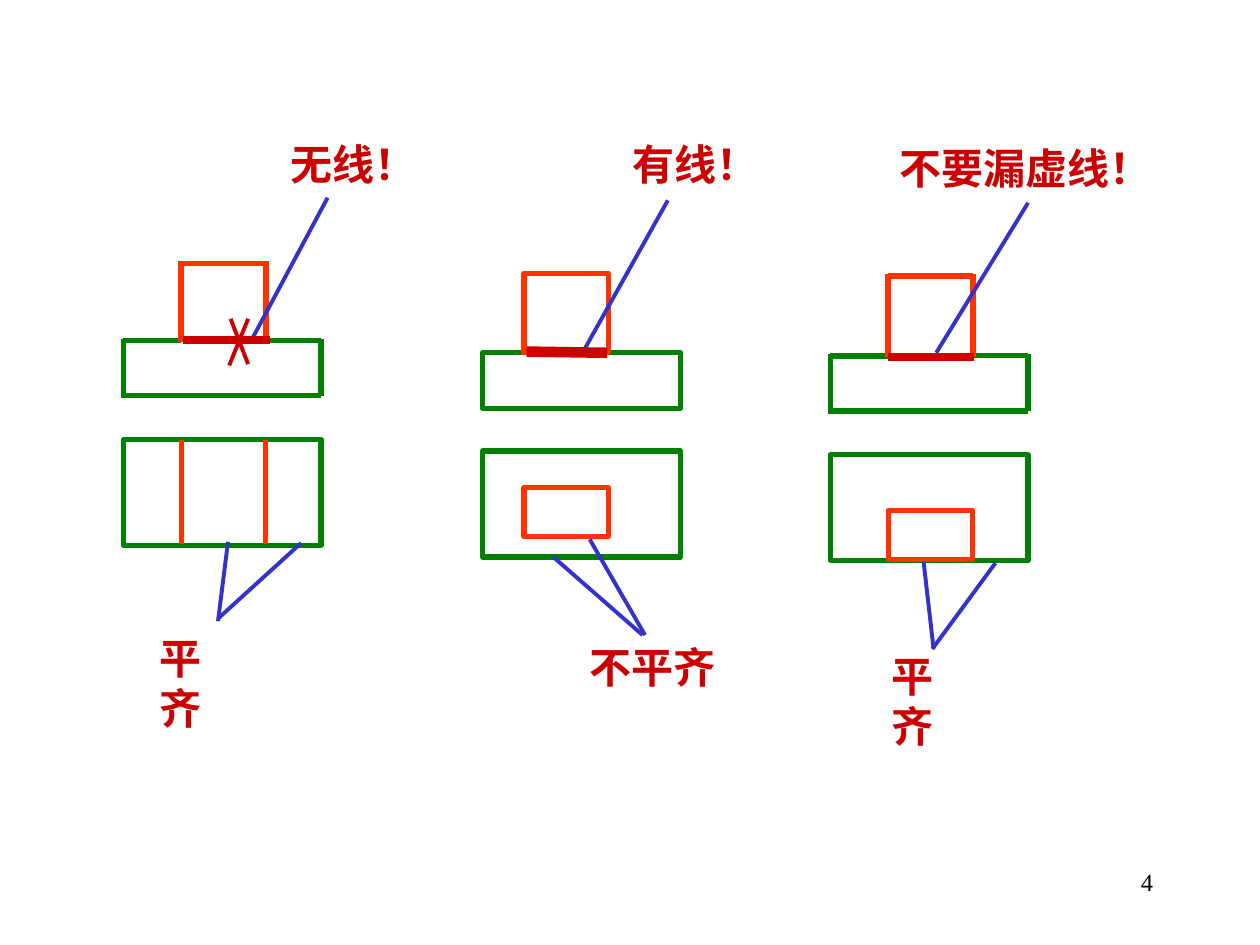
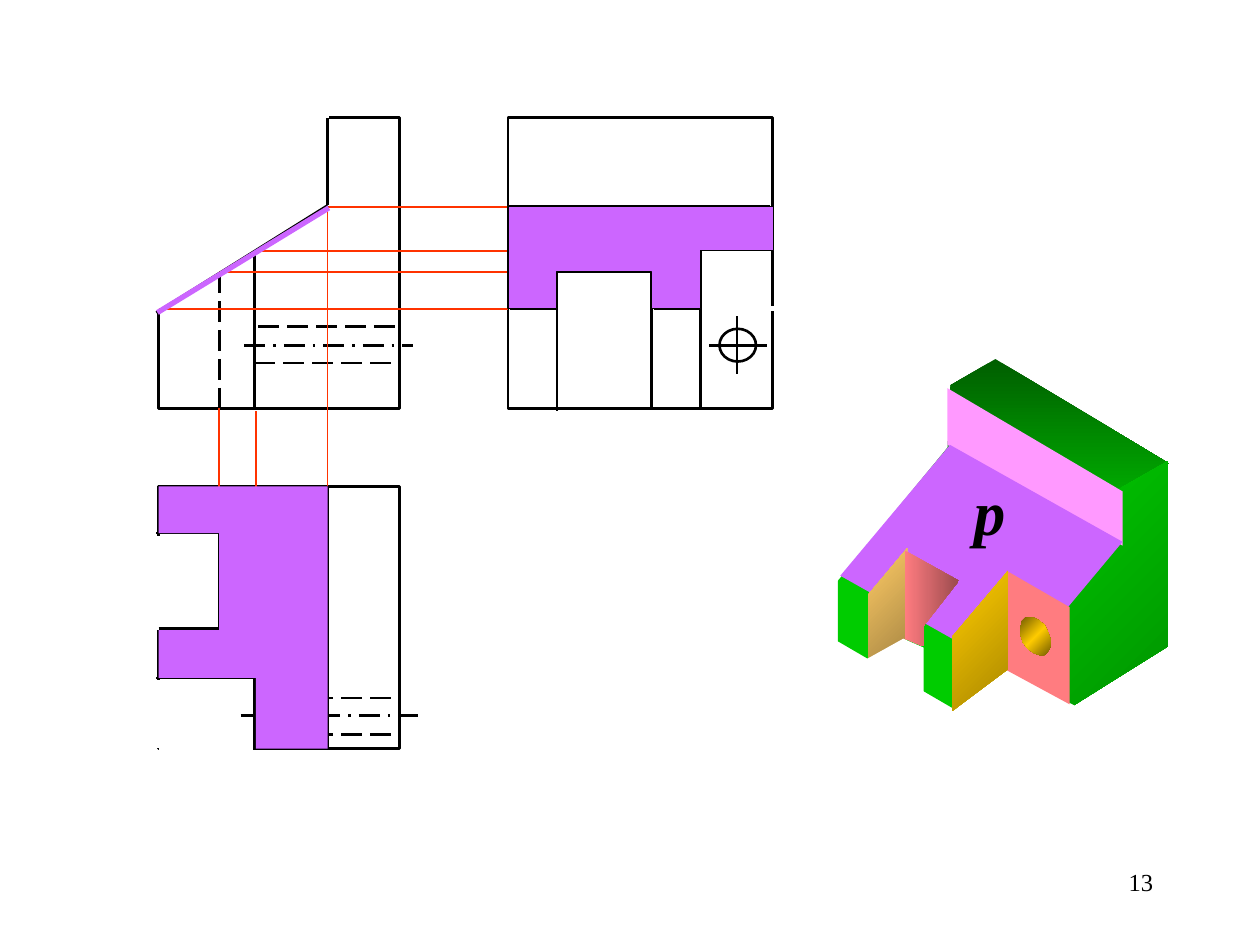
from copy import deepcopy

from lxml import etree
from pptx import Presentation
from pptx.dml.color import RGBColor
from pptx.enum.dml import MSO_LINE
from pptx.enum.shapes import MSO_CONNECTOR, MSO_SHAPE
from pptx.enum.text import MSO_AUTO_SIZE, PP_ALIGN
from pptx.oxml.ns import qn
from pptx.util import Pt

RECT, OVAL = MSO_SHAPE.RECTANGLE, MSO_SHAPE.OVAL
STRAIGHT = MSO_CONNECTOR.STRAIGHT
LONG_DASH, DASH_DOT = MSO_LINE.LONG_DASH, MSO_LINE.LONG_DASH_DOT
RIGHT, LEFT = PP_ALIGN.RIGHT, PP_ALIGN.LEFT
GROW, FIXED = MSO_AUTO_SIZE.SHAPE_TO_FIT_TEXT, MSO_AUTO_SIZE.NONE

BLACK, WHITE = "000000", "FFFFFF"
GREEN, ORANGE, RED, BLUE = "008000", "FF3300", "CC0000", "3333CC"
PURPLE, LIME, SALMON = "CC66FF", "00CC00", "FF7C80"


def paint(fill, *colours, angle=0):
    """One colour gives a solid fill, two give a gradient (angle clockwise)."""
    if len(colours) == 1:
        fill.solid()
        fill.fore_color.rgb = RGBColor.from_string(colours[0])
        return
    fill.gradient()
    fill.gradient_angle = (360 - angle) % 360
    for stop, colour in zip(fill.gradient_stops, colours):
        stop.color.rgb = RGBColor.from_string(colour)


def draw_lines(slide, segments, colour, width, dash=None):
    for x1, y1, x2, y2 in segments:
        edge = slide.shapes.add_connector(STRAIGHT, Pt(x1), Pt(y1), Pt(x2), Pt(y2))
        paint(edge.line.fill, colour)
        edge.line.width = Pt(width)
        edge.line.dash_style = dash
        etree.SubElement(edge._element.spPr, qn("a:effectLst"))


prs = Presentation()
prs.slide_width, prs.slide_height = Pt(720), Pt(540)
blank = prs.slide_layouts[6]
flush_faces = prs.slides.add_slide(blank)
cut_block = prs.slides.add_slide(blank)

# Unfilled outlines on both slides
outlines = [
    # plan views, then the front view of the middle example
    (flush_faces, RECT, 70.5, 251.3, 113, 60.5, GREEN, 3),
    (flush_faces, RECT, 275.8, 257.8, 113, 60.5, GREEN, 3),
    (flush_faces, RECT, 299.5, 278.6, 48.2, 28.1, ORANGE, 3),
    (flush_faces, RECT, 275.8, 201.6, 113, 31.7, GREEN, 3),
    (flush_faces, RECT, 299.5, 156.2, 48.2, 45.4, ORANGE, 3),
    (flush_faces, RECT, 474.5, 259.9, 113, 60.5, GREEN, 3),
    (flush_faces, RECT, 507.6, 291.6, 48.2, 28.1, ORANGE, 3),
    # side, front and plan views, then the hole
    (cut_block, RECT, 290.2, 67, 151.2, 166.3, BLACK, 1.5),
    (cut_block, RECT, 90.7, 67, 137.5, 166.3, BLACK, 1.5),
    (cut_block, RECT, 90.7, 277.9, 137.5, 149.8, BLACK, 1.5),
    (cut_block, OVAL, 411.1, 187.9, 20.9, 18.7, BLACK, 1.5),
]
for slide, preset, x, y, w, h, colour, width in outlines:
    outline = slide.shapes.add_shape(preset, Pt(x), Pt(y), Pt(w), Pt(h))
    outline.shadow.inherit = False
    outline.fill.background()
    paint(outline.line.fill, colour)
    outline.line.width = Pt(width)

# Slide 1: front views left and right, measured from the base's top left corner
for x, y, rise in [(70.5, 194.4, 43.9), (474.5, 203.2, 45.4)]:
    base = [(-1.5, 31.7, 113, 31.7), (113, 31.7, 113, -0.7), (113, 0, 81.5, 0),
            (33, 0.3, 0, 0.3), (0, 31.7, 0, -0.7)]
    cube = [(81.5, 1, 81.5, -rise - 1.3), (81.5, -rise, 33, -rise),
            (33, -rise - 1.3, 33, 1)]
    for part, colour in [(base, GREEN), (cube, ORANGE)]:
        draw_lines(flush_faces,
                   [(x + x1, y + y1, x + x2, y + y2) for x1, y1, x2, y2 in part],
                   colour, 3)
draw_lines(flush_faces, [(cut, 311, cut, 251.3) for cut in (103.7, 151.9)], ORANGE, 3)

# Slide 1: leaders, seams and the cross on the line that must not be there
leaders = [
    (130.3, 309.6, 124.6, 355), (124.6, 353.5, 172.1, 310.3), (143.3, 195.1, 187.2, 113),
    (337, 308.2, 368.6, 362.9), (367.2, 362.9, 316.1, 318.2), (334.1, 199.4, 381.6, 114.5),
    (532.8, 370.8, 568.8, 321.8), (527.8, 321.1, 533.5, 370.8), (535, 201.6, 587.5, 115.9),
]
draw_lines(flush_faces, leaders, BLUE, 2.25)
draw_lines(flush_faces, [(104.4, 194.4, 154.1, 194.4)], RED, 4.25)
draw_lines(flush_faces, [(301, 200.9, 347, 201.6)], RED, 6)
draw_lines(flush_faces, [(507.6, 203.8, 556.6, 203.8)], RED, 4.5)
draw_lines(flush_faces, [(141.8, 182.2, 131, 208.8), (131.8, 182.2, 141.8, 208.1)],
           RED, 2.25)

# Slide 2: line work of the three views
inner_edges = [
    (421.2, 180.7, 421.2, 213.8), (405.4, 197.3, 438.5, 197.3),
    (145.4, 387.4, 89.3, 387.4), (125.3, 359.3, 125.3, 304.6),
    (187.2, 428.4, 187.2, 277.9), (290.2, 118.1, 439.9, 118.1),
    (318.2, 155.5, 373, 155.5), (400.3, 142.6, 442.1, 142.6),
    (145.4, 144, 145.4, 233.3), (291.6, 176.4, 442.1, 176.4),
]
axes = [(137.5, 409, 239, 409), (139.7, 197.3, 236.2, 197.3)]
hidden_edges = [
    (145.4, 398.9, 228.2, 398.9), (145.4, 419.8, 228.2, 419.8),
    (125.3, 155.5, 125.3, 234.7), (147.6, 186.5, 228.2, 186.5),
    (145.4, 207.4, 228.2, 207.4),
]
removed_edges = [
    (90.7, 59.8, 90.7, 177.8), (80.6, 67, 187.9, 67), (90.7, 360, 90.7, 306),
    (318.2, 176.4, 373.7, 176.4), (90.7, 388.8, 90.7, 427.7),
    (90.7, 427.7, 146.2, 427.7), (400.3, 176.4, 442.1, 176.4),
]
projections = [
    (187.2, 118.1, 294.5, 118.1), (90.7, 176.4, 290.2, 176.4),
    (187.2, 118.1, 187.2, 277.9), (125.3, 304.6, 125.3, 233.3),
    (125.3, 155.5, 318.2, 155.5), (146.2, 387.4, 146.2, 234.7),
    (146.2, 143.3, 400.3, 143.3),
]
cut_edges = [
    (187.2, 67.7, 187.2, 117.4), (187.2, 117.4, 89.3, 178.6),
    (90.7, 359.3, 125.3, 359.3), (125.3, 304.6, 89.3, 304.6),
    (318.2, 155.5, 318.2, 234.7), (400.3, 142.6, 400.3, 233.3),
    (372.2, 155.5, 372.2, 233.3), (145.4, 428.4, 145.4, 387.4),
]
for segments, colour, width, dash in [
    (inner_edges, BLACK, 1.5, None),
    (axes, BLACK, 1.5, DASH_DOT),
    (hidden_edges, BLACK, 1.5, LONG_DASH),
    (removed_edges, WHITE, 3, None),
    (projections, ORANGE, 1, None),
    (cut_edges, BLACK, 1.5, None),
    ([(90, 178.6, 187.9, 118.8)], PURPLE, 3, None),
]:
    draw_lines(cut_block, segments, colour, width, dash)

# Slide 2: faces of the solid, then plane P in plan and side view
faces = [
    # top, right end and front of the block
    (("005E00", LIME), 90, [(568.8, 205.2), (478.8, 257.8), (578.9, 315.4), (668.2, 265)]),
    ((LIME, "009000"), 45, [(667.4, 263.5), (667.4, 369.4), (578.9, 424.8), (578.9, 313.9)]),
    ((LIME,), 0, [(478.8, 257), (478.8, 366.5), (578.9, 424.8), (578.9, 315.4)]),
    # cut-away corner, step and slope
    ((WHITE,), 0, [(542.9, 219.6), (541.4, 255.6), (477.4, 333.4), (465.1, 247),
                   (469.4, 230.4)]),
    (("FF99FF",), 0, [(541.4, 221.8), (541.4, 254.2), (641.5, 311.8), (641.5, 280.8)]),
    ((PURPLE,), 0, [(542.9, 254.2), (641.5, 309.6), (578.9, 384.5), (480.2, 329)]),
    # notch at the right
    ((WHITE,), 0, [(573.1, 381.6), (625, 409), (570.2, 434.2), (538.6, 411.8)]),
    ((SALMON,), 0, [(575.3, 326.2), (611.3, 347), (611.3, 402.5), (575.3, 383)]),
    (("FFCC00", "AA8800"), 45, [(544.3, 363.6), (544.3, 406.1), (576, 382.3), (576, 326.2)]),
    # slot in the middle
    (("FFCC66", "AA8844"), 45, [(496.1, 339.8), (518.4, 313.2), (518.4, 365), (496.1, 377.3)]),
    ((WHITE,), 0, [(516.2, 365), (488.9, 380.2), (527.8, 398.9), (527.8, 370.1)]),
    ((SALMON, "9B4B4E"), 0, [(517, 314.6), (547.9, 331.9), (527.8, 357.8), (527.8, 369.4),
                             (517, 365)]),
    # plane P in plan and side view
    ((PURPLE,), 0, [(90.7, 277.9), (187.2, 277.9), (187.2, 427.7), (146.2, 427.7),
                    (146.2, 387.4), (90.7, 387.4), (90.7, 360), (125.3, 360),
                    (125.3, 304.6), (90.7, 304.6)]),
    ((PURPLE,), 0, [(290.2, 118.1), (442.1, 118.1), (442.1, 143.3), (400.3, 143.3),
                    (400.3, 176.4), (372.2, 176.4), (372.2, 155.5), (318.2, 155.5),
                    (318.2, 176.4), (290.2, 176.4)]),
    # hole
    (("765E00", "FFCC00"), 45, [
        (586.1, 352.8), (583.9, 355), (583.2, 358.6), (583.2, 362.9), (584.6, 367.2),
        (587.5, 370.8), (590.4, 373), (594, 374.4), (596.9, 374.4), (599, 372.2),
        (600.5, 369.4), (600.5, 365.8), (599, 361.4), (596.9, 357.1), (593.3, 354.2),
        (590.4, 352.8)]),
]
drawn_faces = []
for colours, angle, corners in faces:
    start, *rest = [(Pt(x), Pt(y)) for x, y in corners]
    builder = cut_block.shapes.build_freeform(*start)
    builder.add_line_segments(rest, close=True)
    face = builder.convert_to_shape()
    face.shadow.inherit = False
    paint(face.fill, *colours, angle=angle)
    face.line.fill.background()
    drawn_faces.append(face)

side_plane, hole = drawn_faces[-2:]
paint(side_plane.line.fill, BLACK)
side_plane.line.width = Pt(0.75)

# The hole shades dark, bright, dark
hole_stops = hole._element.find(".//" + qn("a:gsLst"))
hole_stops.append(deepcopy(hole_stops[0]))
for stop, position in zip(hole.fill.gradient_stops, (0, 0.5, 1)):
    stop.position = position

# Text on both slides: frame, paragraph and font formats by role
LABEL = (RED, dict(word_wrap=False, auto_size=GROW), dict(alignment=LEFT),
         dict(name="Times New Roman", size=Pt(24), bold=True))
PLANE = (BLACK, dict(word_wrap=True, auto_size=GROW), dict(alignment=LEFT),
         dict(name="Times New Roman", size=Pt(36), bold=True, italic=True))
NUMBER = (BLACK, dict(word_wrap=True, auto_size=FIXED),
          dict(alignment=RIGHT, space_before=Pt(8.8)),
          dict(name="Times New Roman", size=Pt(14)))
wordings = [
    (flush_faces, "平齐", LABEL, 84.2, 357.8, 62, 36),
    (flush_faces, "无线！", LABEL, 159.1, 75.6, 86.4, 36),
    (flush_faces, "不平齐", LABEL, 329.8, 362.9, 86.4, 36),
    (flush_faces, "有线！", LABEL, 354.2, 75.6, 86.4, 36),
    (flush_faces, "平齐", LABEL, 502.6, 367.9, 62, 36),
    (flush_faces, "不要漏虚线！", LABEL, 506.9, 77.8, 158.4, 36),
    (cut_block, "p", PLANE, 549.4, 266.4, 32.4, 50.4),
    (flush_faces, "4", NUMBER, 516.2, 491.8, 149.8, 36),
    (cut_block, "13", NUMBER, 516.2, 491.8, 149.8, 36),
]
for slide, wording, (colour, frame_format, line_format, font_format), x, y, w, h in wordings:
    frame = slide.shapes.add_textbox(Pt(x), Pt(y), Pt(w), Pt(h)).text_frame
    paragraph = frame.paragraphs[0]
    run = paragraph.add_run()
    run.text = wording
    paint(run.font.fill, colour)
    for target, formats in [(frame, frame_format), (paragraph, line_format),
                            (run.font, font_format)]:
        for attribute, value in formats.items():
            setattr(target, attribute, value)

prs.save("out.pptx")
